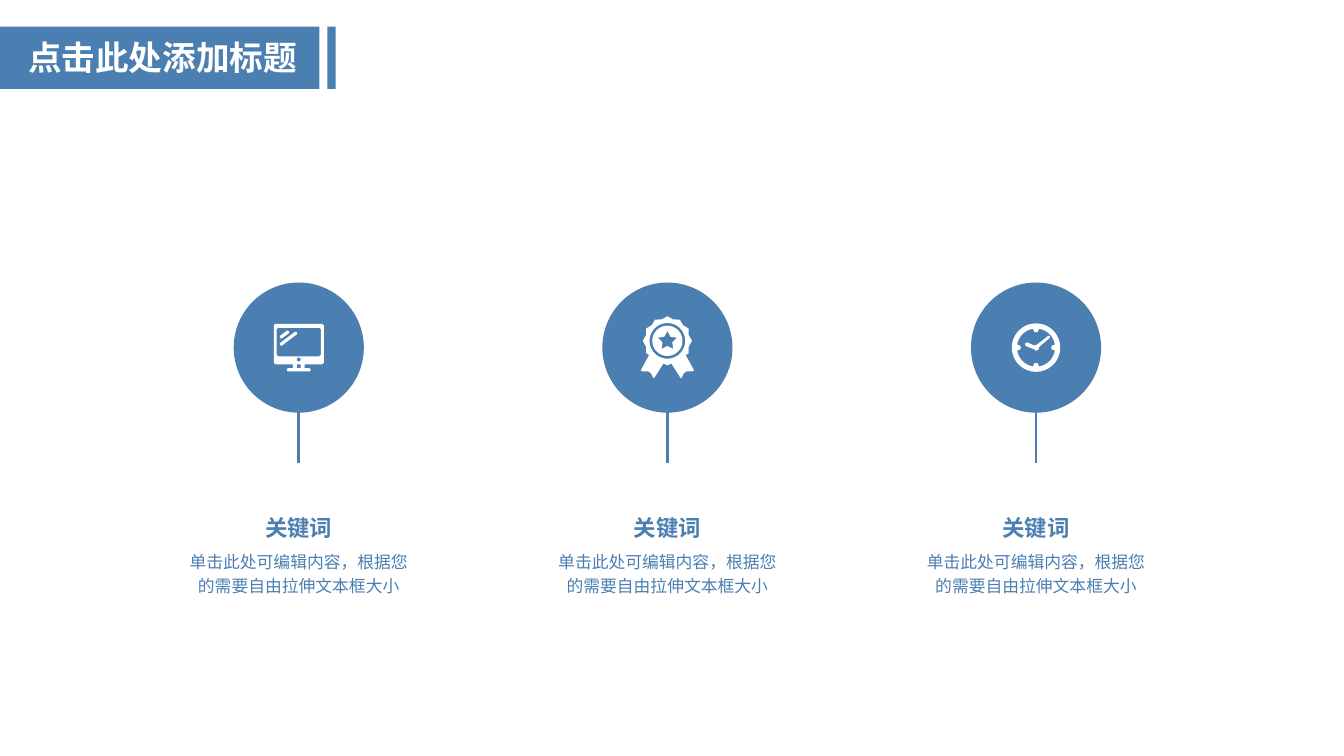
from dataclasses import dataclass
from math import atan2, cos, pi, radians, sin

from lxml import etree
from pptx import Presentation
from pptx.dml.color import RGBColor
from pptx.enum.shapes import MSO_CONNECTOR, MSO_SHAPE
from pptx.enum.text import MSO_AUTO_SIZE, PP_ALIGN
from pptx.oxml.ns import qn
from pptx.util import Cm, Pt

LINE = MSO_CONNECTOR.STRAIGHT
RECT, OVAL = MSO_SHAPE.RECTANGLE, MSO_SHAPE.OVAL
GROW = MSO_AUTO_SIZE.SHAPE_TO_FIT_TEXT
LEFT, MID = PP_ALIGN.LEFT, PP_ALIGN.CENTER
HUES = {"blue": "4B7FB1", "white": "FFFFFF"}
FONT = "Arial"

Point = tuple[float, float]
Loop = list[Point]
Part = list[Loop]


@dataclass
class Label:
    text: str
    top: float
    width: float
    height: float
    size: int
    bold: bool = False
    hue: str = "blue"
    align: PP_ALIGN = MID
    inset: bool = False
    space: float = 1.2


@dataclass
class Item:
    """One column: a badge, its icon parts (cm from the badge middle) and labels."""
    word: str
    body: str
    icon: list[Part]


def ring(y: float, rad: float, count: int = 48, dip: float = 1) -> Loop:
    """Points round (0, y), starting at the top; odd points lie at dip times rad."""
    loop = []
    for i in range(count):
        turn, reach = 2 * pi * i / count, rad * (dip if i % 2 else 1)
        loop.append((reach * sin(turn), y - reach * cos(turn)))
    return loop


def pill(start: Point, end: Point, rad: float) -> Loop:
    """A bar with round ends."""
    tilt = atan2(end[1] - start[1], end[0] - start[0])
    loop = []
    for (x, y), base in ((end, tilt - pi / 2), (start, tilt + pi / 2)):
        loop += [(x + rad * cos(base + pi * i / 8), y + rad * sin(base + pi * i / 8))
                 for i in range(9)]
    return loop


def frame(x: float, top: float, low: float, cut: float = 0) -> Loop:
    """A box centred on x = 0 with cut corners."""
    half = [(x - cut, top), (x, top + cut), (x, low - cut), (x - cut, low)]
    return both(half)


def both(half: Loop) -> Loop:
    """Close a right half with its mirrored left half."""
    return half + [(-x, y) for x, y in reversed(half)]


def screen() -> list[Part]:
    case = both([(0.59, -0.6), (0.63, -0.56), (0.63, 0.38), (0.59, 0.42),
                 (0.15, 0.42), (0.15, 0.52)])
    stand = pill((-0.26, 0.56), (0.26, 0.56), 0.04)
    return [
        [pill((-0.44, -0.27), (-0.28, -0.39), 0.04)],
        [pill((-0.44, -0.09), (-0.08, -0.36), 0.04)],
        [case, stand, frame(0.56, -0.5, 0.22, 0.04), ring(0.3, 0.05),
         frame(0.05, 0.42, 0.52)],
    ]


def medal() -> list[Part]:
    mid = -0.17
    tail = [(0.46, 0.19), (0.67, 0.57), (0.64, 0.6), (0.48, 0.6), (0.41, 0.65),
            (0.36, 0.76), (0.33, 0.76), (0.1, 0.4), (0, 0.45)]
    edge = both(ring(mid, 0.62, 24, 0.9)[:9] + tail)
    return [[edge, ring(mid, 0.45)],
            [ring(mid, 0.38), ring(mid, 0.25, 10, 0.52)]]


def clock() -> list[Part]:
    face = []
    for turn in range(0, 360, 3):
        notch = min(turn % 90, 90 - turn % 90) < 8
        reach = 0.39 if notch else 0.48
        face.append((reach * sin(radians(turn)), -reach * cos(radians(turn))))
    hands = [(0.31, -0.3), (0.03, -0.08), (-0.04, -0.05), (-0.22, -0.13),
             (-0.28, -0.1), (-0.26, -0.04), (-0.05, 0.04), (0, 0.08),
             (0.07, 0.04), (0.08, -0.02), (0.34, -0.24), (0.35, -0.29)]
    return [[ring(0, 0.61), face], [hands]]


def tint(shape, hue: str) -> None:
    shape.shadow.inherit = False
    shape.fill.solid()
    shape.fill.fore_color.rgb = RGBColor.from_string(HUES[hue])
    shape.line.fill.background()


def block(slide, kind: MSO_SHAPE, x: float, y: float, w: float, h: float) -> None:
    tint(slide.shapes.add_shape(kind, Cm(x), Cm(y), Cm(w), Cm(h)), "blue")


def trace(slide, part: Part, x: float, y: float) -> None:
    """Draw the loops of an icon part as one white outline with holes."""
    loops = [[(Cm(x + a), Cm(y + b)) for a, b in loop] for loop in part]
    pen = slide.shapes.build_freeform(*loops[0][0])
    for i, loop in enumerate(loops):
        if i:
            pen.move_to(*loop[0])
        pen.add_line_segments(loop[1:], close=True)
    tint(pen.convert_to_shape(), "white")


def write(slide, label: Label, left: float) -> None:
    box = slide.shapes.add_textbox(Cm(left), Cm(label.top), Cm(label.width),
                                   Cm(label.height))
    frame = box.text_frame
    frame.word_wrap = True
    frame.auto_size = GROW
    if not label.inset:
        frame.margin_left = frame.margin_right = Cm(0)
        frame.margin_top = frame.margin_bottom = Cm(0)
    para = frame.paragraphs[0]
    para.alignment = label.align
    para.line_spacing = label.space
    run = para.add_run()
    run.text = label.text
    run.font.name = FONT
    run.font.size = Pt(label.size)
    run.font.bold = label.bold
    run.font.color.rgb = RGBColor.from_string(HUES[label.hue])


def stem(slide, x: float, top: float, low: float) -> None:
    line = slide.shapes.add_connector(LINE, Cm(x), Cm(top), Cm(x), Cm(low))
    line.line.color.rgb = RGBColor.from_string(HUES["blue"])
    line.line.width = Pt(2)
    etree.SubElement(line._element.spPr, qn("a:effectLst"))


def column(slide, item: Item, x: float) -> None:
    mid, size = 8.76, 3.28
    stem(slide, x, 9.02, 11.66)
    block(slide, OVAL, x - size / 2, mid - size / 2, size, size)
    for part in item.icon:
        trace(slide, part, x, mid)
    for label in (Label(item.body, 13.79, 5.87, 1.17, 12),
                  Label(item.word, 12.83, 2.54, 0.76, 16, bold=True)):
        write(slide, label, x - label.width / 2)


def main() -> None:
    deck = Presentation()
    deck.slide_width, deck.slide_height = Cm(33.87), Cm(19.05)
    slide = deck.slides.add_slide(deck.slide_layouts[6])

    for left, width in ((0, 8.05), (8.25, 0.21)):
        block(slide, RECT, left, 0.67, width, 1.57)
    write(slide, Label("点击此处添加标题", 0.81, 8, 1.27, 24, bold=True,
                       hue="white", align=LEFT, inset=True, space=1.0), 0.46)

    body = "单击此处可编辑内容，根据您的需要自由拉伸文本框大小"
    for i, icon in enumerate((screen(), medal(), clock())):
        column(slide, Item("关键词", body, icon), 7.53 + 9.29 * i)
    deck.save("out.pptx")


if __name__ == "__main__":
    main()
